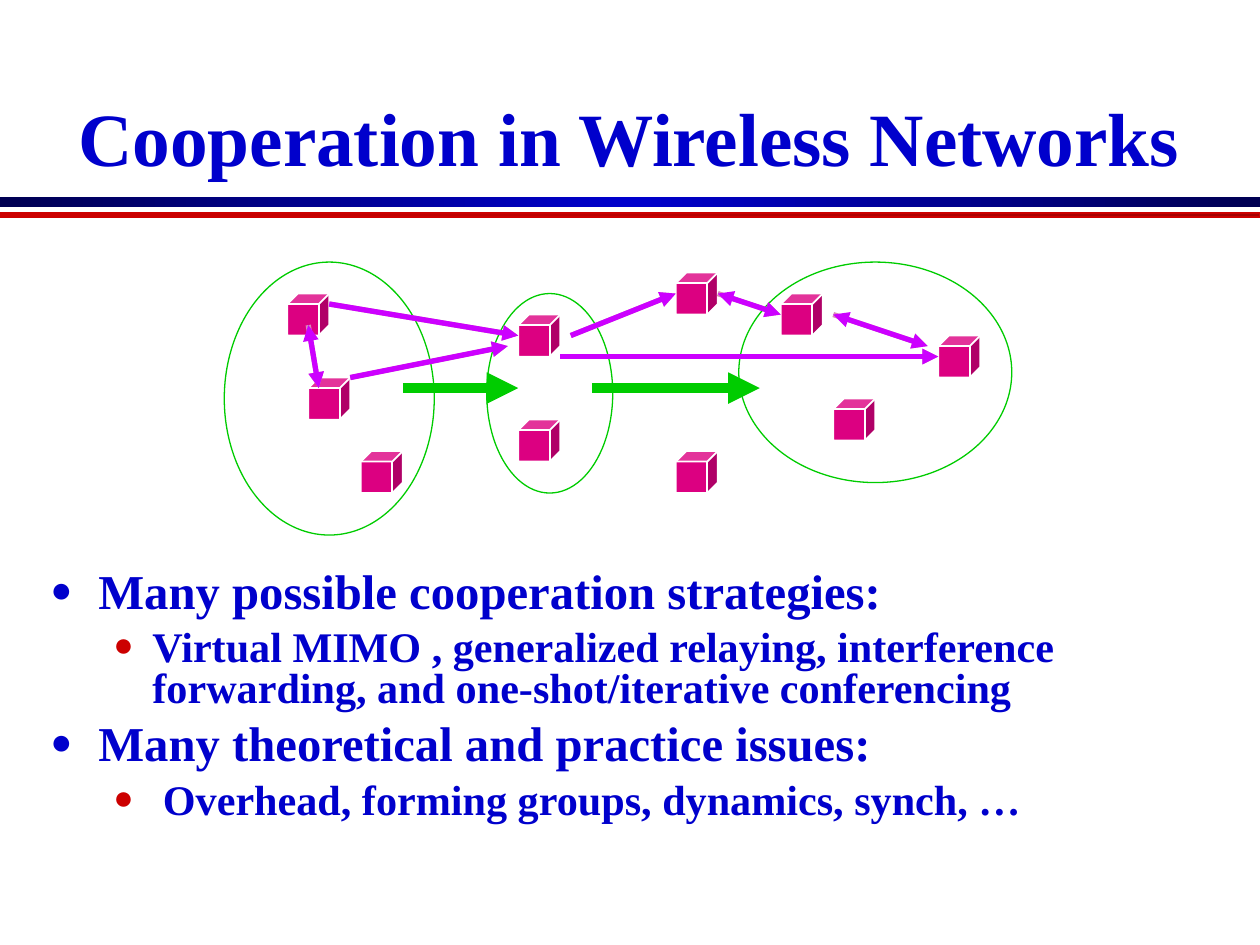
from lxml.etree import SubElement
from pptx import Presentation
from pptx.dml.color import RGBColor
from pptx.enum.shapes import MSO_CONNECTOR, MSO_SHAPE
from pptx.enum.text import MSO_ANCHOR, MSO_AUTO_SIZE, PP_ALIGN
from pptx.oxml.ns import qn
from pptx.util import Inches, Pt

COLORS = {
    "blue": "0000CC", "navy": "000052", "red": "CC0000", "dark_red": "A30000",
    "node": "DC0081", "white": "FFFFFF", "green": "00CC00",
    "link": "CC00FF", "link_shadow": "D989B8",
}
FONT = "Times New Roman"
W, H = 10, 7.5

# Diagram positions in grid units of 1/12 inch
UNIT = 1 / 12
NODES = [(8, 11), (6, 3), (43, 18), (58, 13), (28, 15),
         (53, 3), (68, 7), (28, 5), (43, 1), (13, 18)]
CLUSTERS = [(0, 0, 20, 26), (25, 3, 12, 19), (49, 0, 26, 21)]
FLOWS = [(17, 12, 28, 12), (35, 12, 51, 12)]
# Column, row of both ends, and whether the link runs both ways
LINKS = [((8, 6, 9, 12), True), ((10, 4, 28, 7), False),
         ((12, 11, 27, 8), False), ((33, 7, 43, 3), False),
         ((47, 3, 53, 5), True), ((32, 9, 68, 9), False),
         ((58, 5, 67, 8), True)]

LEVELS = [
    dict(size=27.8, before=7.5, indent=0.38, hang=0.38, bullet="blue", scale=75),
    dict(size=24.1, before=6.5, indent=0.81, hang=0.31, bullet="red", scale=80),
]
POINTS = [
    (0, "Many possible cooperation strategies:", 1.0),
    (1, "Virtual MIMO , generalized relaying, interference forwarding, "
        "and one-shot/iterative conferencing", 0.8),
    (0, "Many theoretical and practice issues:", 0.8),
    (1, " Overhead, forming groups, dynamics, synch, …", 0.8),
]


def rgb(name):
    return RGBColor.from_string(COLORS[name])


def place(sp, box):
    sp.left, sp.top, sp.width, sp.height = (Inches(v) for v in box)


def write(p, text, size, color="blue", bold=True, spacing=1.0, before=0, align=None):
    p.alignment, p.line_spacing, p.space_before = align, spacing, Pt(before)
    r = p.add_run()
    r.text = text
    r.font.name, r.font.size, r.font.bold = FONT, Pt(size), bold
    r.font.color.rgb = rgb(color)


def add_bullet(p, color, scale, indent, hang):
    pPr = p._p.get_or_add_pPr()
    pPr.set("marL", str(Inches(indent)))
    pPr.set("indent", str(-Inches(hang)))
    clr = SubElement(pPr, qn("a:buClr"))
    SubElement(clr, qn("a:srgbClr"), val=COLORS[color])
    SubElement(pPr, qn("a:buSzPct"), val=str(scale * 1000))
    SubElement(pPr, qn("a:buFont"), typeface=FONT)
    SubElement(pPr, qn("a:buChar"), char="●")


def add_shape(shapes, kind, box, fill=None, line=None, width=1):
    sp = shapes.add_shape(kind, *(Inches(v) for v in box))
    sp.shadow.inherit = False
    if fill:
        sp.fill.solid()
        sp.fill.fore_color.rgb = rgb(fill)
    else:
        sp.fill.background()
    if line:
        sp.line.color.rgb, sp.line.width = rgb(line), Pt(width)
    else:
        sp.line.fill.background()
    return sp


def fill_gradient(sp, *names):
    sp.fill.gradient()
    sp.fill.gradient_angle = 0
    stops = sp._element.spPr.find(qn("a:gradFill")).find(qn("a:gsLst"))
    for stop in list(stops):
        stops.remove(stop)
    for i, name in enumerate(names):
        gs = SubElement(stops, qn("a:gs"), pos=str(100000 * i // (len(names) - 1)))
        SubElement(gs, qn("a:srgbClr"), val=COLORS[name])


def add_arrow(shapes, ends, color, width, both=False):
    cx = shapes.add_connector(MSO_CONNECTOR.STRAIGHT, *(Inches(v) for v in ends))
    cx.line.color.rgb, cx.line.width = rgb(color), Pt(width)
    ln = cx.line._get_or_add_ln()
    if both:
        SubElement(ln, qn("a:headEnd"), type="triangle")
    SubElement(ln, qn("a:tailEnd"), type="triangle")
    SubElement(cx._element.spPr, qn("a:effectLst"))


def build_title(slide, box):
    title = slide.shapes.title
    place(title, box)
    tf = title.text_frame
    tf.auto_size, tf.vertical_anchor = MSO_AUTO_SIZE.NONE, MSO_ANCHOR.BOTTOM
    write(tf.paragraphs[0], "Cooperation in Wireless Networks", 43,
          spacing=0.9, align=PP_ALIGN.CENTER)


def build_rules(slide, box):
    x, y, w, h = box
    bar = add_shape(slide.shapes, MSO_SHAPE.RECTANGLE, (x, y, w, h / 2))
    fill_gradient(bar, "navy", "blue", "navy")
    rule = add_shape(slide.shapes, MSO_SHAPE.RECTANGLE,
                     (x, y + h * 0.81, w, h * 0.19), line="red")
    fill_gradient(rule, "red", "dark_red")


def build_points(slide, box):
    body = slide.placeholders[1]
    place(body, box)
    tf = body.text_frame
    tf.auto_size, tf.vertical_anchor = MSO_AUTO_SIZE.NONE, MSO_ANCHOR.TOP
    for i, (level, text, spacing) in enumerate(POINTS):
        p = tf.add_paragraph() if i else tf.paragraphs[0]
        p.level = level
        st = LEVELS[level]
        write(p, text, st["size"], spacing=spacing, before=st["before"])
        add_bullet(p, st["bullet"], st["scale"], st["indent"], st["hang"])


def build_network(slide, origin):
    x, y = origin

    def cell(col, row, cols, rows):
        return x + col * UNIT, y + row * UNIT, cols * UNIT, rows * UNIT

    def ends(c1, r1, c2, r2):
        return x + c1 * UNIT, y + r1 * UNIT, x + c2 * UNIT, y + r2 * UNIT

    # Wireless nodes
    for col, row in NODES:
        add_shape(slide.shapes, MSO_SHAPE.CUBE, cell(col, row, 4, 4), "node", "white")

    # Clusters and the flow between them
    clusters = slide.shapes.add_group_shape().shapes
    for area in CLUSTERS:
        add_shape(clusters, MSO_SHAPE.OVAL, cell(*area), line="green", width=0.75)
    for flow in FLOWS:
        add_arrow(clusters, ends(*flow), "green", 6)

    # Links, above a paler layer
    for color in ("link_shadow", "link"):
        layer = slide.shapes.add_group_shape().shapes
        for link, both in LINKS:
            add_arrow(layer, ends(*link), color, 3, both and color == "link")


def main():
    prs = Presentation()
    prs.slide_width, prs.slide_height = Inches(W), Inches(H)
    slide = prs.slides.add_slide(prs.slide_layouts[1])
    build_rules(slide, (0, 1.56, W, 0.16))
    build_title(slide, (0.38, 0.25, 9.22, 1.25))
    build_points(slide, (0.3, 4.4, 9.24, 2.75))
    build_network(slide, (1.78, 2.08))
    prs.save("out.pptx")


if __name__ == "__main__":
    main()
